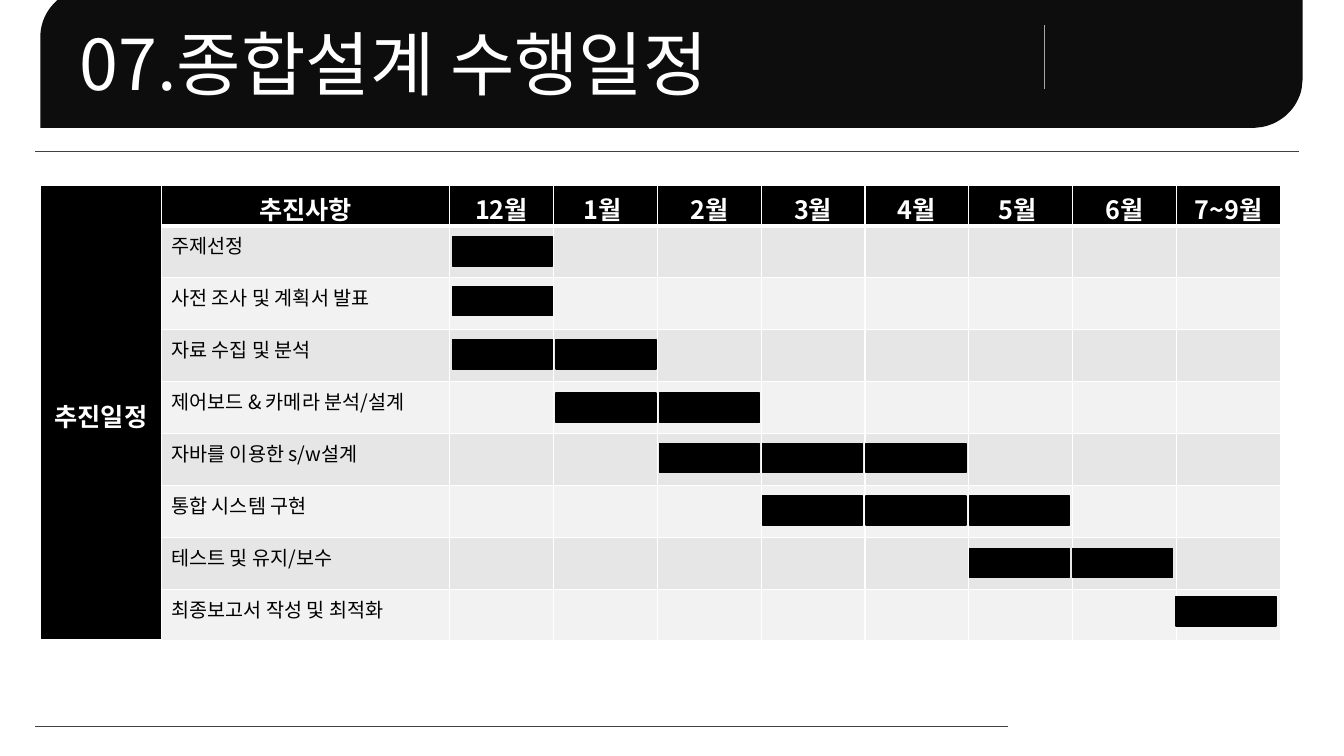
from dataclasses import dataclass

from lxml.etree import SubElement
from pptx import Presentation
from pptx.dml.color import RGBColor
from pptx.enum.shapes import MSO_CONNECTOR, MSO_SHAPE
from pptx.enum.text import MSO_ANCHOR, MSO_AUTO_SIZE, PP_ALIGN
from pptx.oxml.ns import qn
from pptx.util import Inches, Pt

FONT = "Noto Sans CJK KR"
BLACK, WHITE = "000000", "FFFFFF"
ROW_FILLS = ("E7E6E6", "F2F2F2")

MONTHS = ["12월", "1월 ", "2월", "3월", "4월", "5월 ", "6월", "7~9월"]
TABLE_LEFT, TABLE_TOP = 0.4, 1.84
COLUMN_WIDTHS = [1.2, 2.86] + [1.03] * len(MONTHS)
HEADER_HEIGHT, TASK_HEIGHT = 0.4, 0.515
BAR_LEFT, BAR_STEP, BAR_WIDTH, BAR_HEIGHT = 4.49, 1.025, 0.99, 0.29

Point = tuple[float, float]


@dataclass
class Task:
    name: str
    first_month: int
    month_count: int
    bar_top: float


@dataclass
class Rule:
    start: Point
    end: Point
    color: str
    width: float


TASKS = [
    Task("주제선정", 0, 1, 2.35),
    Task("사전 조사 및 계획서 발표", 0, 1, 2.84),
    Task("자료 수집 및 분석", 0, 2, 3.37),
    Task("제어보드 & 카메라 분석/설계", 1, 2, 3.9),
    Task("자바를 이용한 s/w설계", 2, 3, 4.4),
    Task("통합 시스템 구현", 3, 3, 4.92),
    Task("테스트 및 유지/보수", 5, 2, 5.44),
    Task("최종보고서 작성 및 최적화", 7, 1, 5.92),
]

TOP_RULE = Rule((0.35, 1.5), (12.88, 1.5), "404040", 0.5)
FRONT_RULES = [
    Rule((0.35, 7.21), (10, 7.21), "404040", 0.5),
    Rule((10.36, 0.25), (10.36, 0.88), "A6A6A6", 1),
]


def rgb(color: str) -> RGBColor:
    return RGBColor.from_string(color)


def style_text(paragraph, size: float, color: str, bold: bool = False) -> None:
    font = paragraph.font
    font.name, font.size, font.bold = FONT, Pt(size), bold
    font.color.rgb = rgb(color)
    defaults = paragraph._p.pPr.find(qn("a:defRPr"))
    SubElement(defaults, qn("a:ea"), typeface=FONT)


def draw_rule(slide, rule: Rule) -> None:
    points = [Inches(value) for value in rule.start + rule.end]
    line = slide.shapes.add_connector(MSO_CONNECTOR.STRAIGHT, *points)
    line.line.color.rgb = rgb(rule.color)
    line.line.width = Pt(rule.width)
    SubElement(line._element.spPr, qn("a:effectLst"))


def bezier(a: Point, b: Point, c: Point, d: Point, steps: int = 16) -> list[Point]:
    """Points along a cubic curve from a to d, without a itself."""
    curve = []
    for step in range(1, steps + 1):
        t = step / steps
        weights = ((1 - t) ** 3, 3 * t * (1 - t) ** 2, 3 * t * t * (1 - t), t ** 3)
        x, y = (sum(w * p[axis] for w, p in zip(weights, (a, b, c, d)))
                for axis in (0, 1))
        curve.append((x, y))
    return curve


def draw_banner(slide) -> None:
    outline = [(12.92, 0), (12.92, 0.78), (12.91, 0.88)]
    outline += bezier(outline[-1], (12.87, 1.07), (12.72, 1.22), (12.52, 1.26))
    outline += [(12.43, 1.27), (0.4, 1.27), (0.4, 0.37)]
    outline += bezier(outline[-1], (0.4, 0.24), (0.45, 0.12), (0.54, 0.03))
    builder = slide.shapes.build_freeform(Inches(0.57), 0)
    builder.add_line_segments([(Inches(x), Inches(y)) for x, y in outline])
    banner = builder.convert_to_shape()
    banner.shadow.inherit = False
    banner.fill.solid()
    banner.fill.fore_color.rgb = rgb("0D0D0D")
    banner.line.fill.background()


def draw_title(slide) -> None:
    box = slide.shapes.add_textbox(Inches(0.69), Inches(0.15), Inches(7.21), Inches(0.94))
    frame = box.text_frame
    frame.word_wrap = False
    frame.auto_size = MSO_AUTO_SIZE.SHAPE_TO_FIT_TEXT
    title = frame.paragraphs[0]
    title.text = "07.종합설계 수행일정"
    style_text(title, 50, WHITE)


def style_cell(cell, fill: str, bottom_width: float = 1) -> None:
    properties = cell._tc.get_or_add_tcPr()
    for side in ("lnL", "lnR", "lnT", "lnB"):
        width = bottom_width if side == "lnB" else 1
        border = SubElement(properties, qn(f"a:{side}"), w=str(Pt(width)))
        SubElement(SubElement(border, qn("a:solidFill")), qn("a:srgbClr"), val=WHITE)
    cell.fill.solid()
    cell.fill.fore_color.rgb = rgb(fill)


def fill_header(cell, text: str) -> None:
    heading = cell.text_frame.paragraphs[0]
    heading.text = text
    heading.alignment = PP_ALIGN.CENTER
    style_text(heading, 18, WHITE, bold=True)
    cell.margin_bottom = 0
    style_cell(cell, BLACK, bottom_width=3)


def draw_schedule(slide) -> None:
    height = HEADER_HEIGHT + TASK_HEIGHT * len(TASKS)
    table = slide.shapes.add_table(
        len(TASKS) + 1, len(COLUMN_WIDTHS), Inches(TABLE_LEFT), Inches(TABLE_TOP),
        Inches(sum(COLUMN_WIDTHS)), Inches(height)).table
    for column, width in zip(table.columns, COLUMN_WIDTHS):
        column.width = Inches(width)
    for index, row in enumerate(table.rows):
        row.height = Inches(TASK_HEIGHT if index else HEADER_HEIGHT)

    schedule = table.cell(0, 0)
    schedule.merge(table.cell(len(TASKS), 0))
    for index, text in enumerate(["추진일정", "추진사항"] + MONTHS):
        fill_header(table.cell(0, index), text)
    schedule.vertical_anchor = MSO_ANCHOR.MIDDLE

    for index, task in enumerate(TASKS):
        style_cell(table.cell(index + 1, 0), BLACK)
        for column in range(1, len(COLUMN_WIDTHS)):
            style_cell(table.cell(index + 1, column), ROW_FILLS[index % 2])
        name = table.cell(index + 1, 1).text_frame.paragraphs[0]
        name.text = task.name
        style_text(name, 14, BLACK)


def draw_bars(slide, task: Task) -> None:
    for month in range(task.first_month, task.first_month + task.month_count):
        bar = slide.shapes.add_shape(
            MSO_SHAPE.RECTANGLE, Inches(BAR_LEFT + BAR_STEP * month),
            Inches(task.bar_top), Inches(BAR_WIDTH), Inches(BAR_HEIGHT))
        bar.shadow.inherit = False
        bar.fill.solid()
        bar.fill.fore_color.rgb = rgb(BLACK)
        bar.line.color.rgb = rgb(BLACK)
        bar.line.width = Pt(1)


def main() -> None:
    deck = Presentation()
    deck.slide_width, deck.slide_height = Inches(13.33), Inches(7.5)
    slide = deck.slides.add_slide(deck.slide_layouts[6])
    draw_rule(slide, TOP_RULE)
    draw_banner(slide)
    for rule in FRONT_RULES:
        draw_rule(slide, rule)
    draw_title(slide)
    draw_schedule(slide)
    for task in TASKS:
        draw_bars(slide, task)
    deck.save("out.pptx")


if __name__ == "__main__":
    main()
